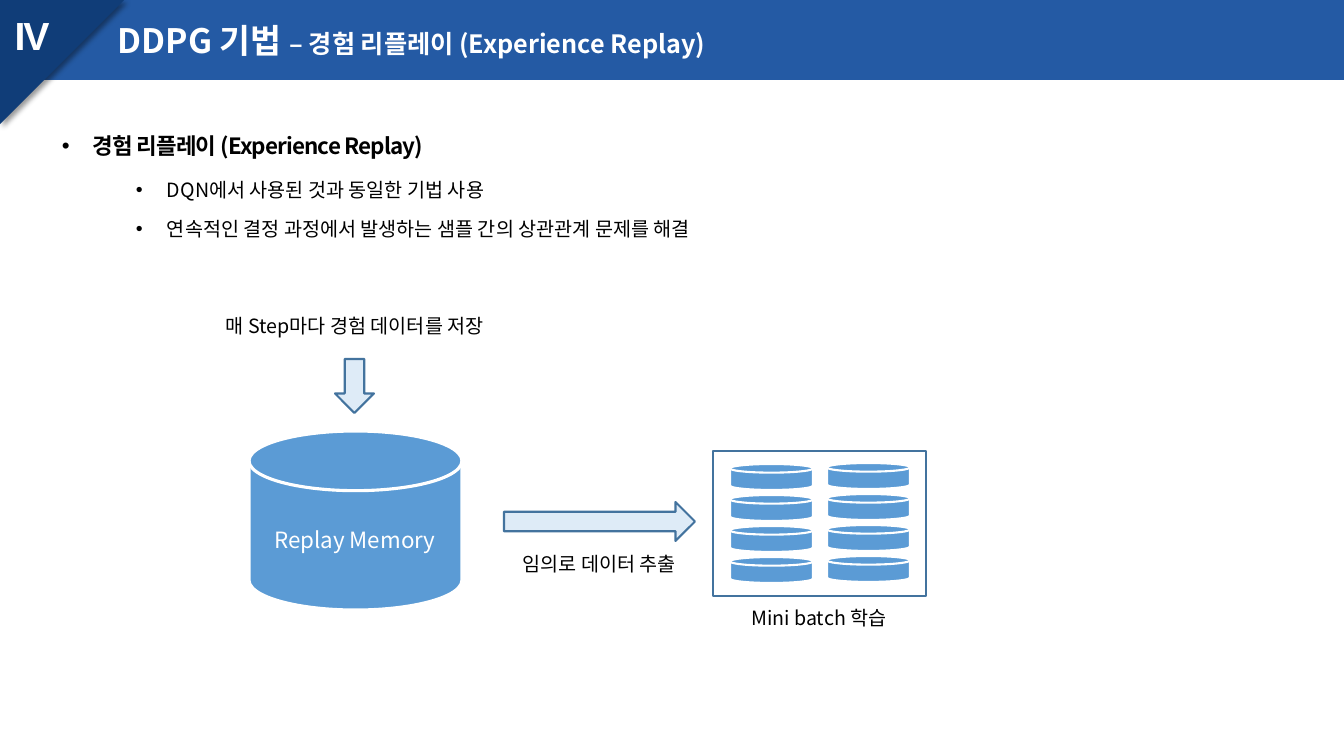
from lxml.etree import SubElement
from pptx import Presentation
from pptx.dml.color import RGBColor
from pptx.enum.shapes import MSO_SHAPE as Preset
from pptx.enum.text import MSO_AUTO_SIZE as AutoSize, PP_ALIGN as Align
from pptx.oxml.ns import qn
from pptx.util import Pt

PX = 12700 * 72 / 100.8
KOREAN = "Noto Sans CJK KR"
BLACK, WHITE = "000000", "FFFFFF"
BAR_BLUE, CORNER_BLUE = "245AA4", "103D78"
DISK_BLUE, PALE_BLUE, EDGE_BLUE = "5B9BD5", "DEEBF7", "43739E"


def px(length):
    return round(length * PX)


def color(hex_text):
    return RGBColor.from_string(hex_text)


def paint(shape, fill=None, line=None, width=1):
    shape.shadow.inherit = False
    if fill:
        shape.fill.solid()
        shape.fill.fore_color.rgb = color(fill)
    else:
        shape.fill.background()
    if line:
        shape.line.color.rgb = color(line)
        shape.line.width = Pt(width)
    else:
        shape.line.fill.background()


def add_preset(page, preset, area, fill=None, line=None, width=1, turn=0):
    shape = page.shapes.add_shape(preset, *map(px, area))
    paint(shape, fill, line, width)
    shape.rotation = turn
    return shape


def add_corner(page, side):
    """Folded triangle in the top left corner, with a soft shadow."""
    builder = page.shapes.build_freeform(0, 0, scale=PX)
    builder.add_line_segments([(side, 0), (0, side)], close=True)
    corner = builder.convert_to_shape()
    paint(corner, CORNER_BLUE)
    effects = corner._element.spPr.find(qn("a:effectLst"))
    shadow = SubElement(effects, qn("a:outerShdw"), blurRad=str(Pt(4)),
                        dist=str(Pt(3)), dir=str(45 * 60000),
                        algn="ctr", rotWithShape="0")
    tint = SubElement(shadow, qn("a:srgbClr"), val=BLACK)
    SubElement(tint, qn("a:alpha"), val="40000")


def add_span(para, text, size, ink=BLACK, bold=False, font=KOREAN, spacing=0):
    span = para.add_run()
    span.text = text
    span.font.size = Pt(size)
    span.font.bold = bold
    span.font.name = font
    span.font.color.rgb = color(ink)
    props = span.font._element
    SubElement(props, qn("a:ea"), typeface=font)
    if spacing:
        props.set("spc", str(round(spacing * 100)))


def add_label(page, area, align=Align.CENTER):
    """Unwrapped text box; returns its paragraph."""
    box = page.shapes.add_textbox(*map(px, area))
    box.text_frame.word_wrap = False
    box.text_frame.auto_size = AutoSize.SHAPE_TO_FIT_TEXT
    para = box.text_frame.paragraphs[0]
    para.alignment = align
    return para


def add_bullet(para, margin, before, after=0):
    para.line_spacing = 1.5
    para.space_before = Pt(before)
    para.space_after = Pt(after)
    props = para._p.get_or_add_pPr()
    props.set("marL", str(px(margin)))
    props.set("indent", str(px(-31)))
    SubElement(props, qn("a:buFont"), typeface="Arial")
    SubElement(props, qn("a:buChar"), char="•")


def add_header(page):
    add_preset(page, Preset.RECTANGLE, (0, 0, 1344, 80), BAR_BLUE)
    add_corner(page, 124)
    title = add_label(page, (108, 15, 639, 50), Align.LEFT)
    add_span(title, "DDPG 기법 ", 24, WHITE, True)
    add_span(title, "– 경험 리플레이 (Experience Replay)", 18, WHITE, True)
    # Wide enough to keep the numeral on one line
    chapter = add_label(page, (0, 6, 64, 57))
    add_span(chapter, "IV", 28, WHITE, True, "Arial", -1.5)


def add_body(page):
    box = page.shapes.add_textbox(*map(px, (61, 114, 1241, 586)))
    frame = box.text_frame
    frame.word_wrap = True
    frame.margin_left = frame.margin_right = 0
    heading = frame.paragraphs[0]
    add_bullet(heading, 32, 2, 2)
    add_span(heading, "경험 리플레이 (Experience Replay)", 16, bold=True, spacing=-0.6)
    for text in ("DQN에서 사용된 것과 동일한 기법 사용",
                 "연속적인 결정 과정에서 발생하는 샘플 간의 상관관계 문제를 해결"):
        para = frame.add_paragraph()
        para.level = 1
        add_bullet(para, 106, 2.8)
        add_span(para, text, 14)


def add_diagram(page):
    # Replay memory and the two flow arrows
    add_preset(page, Preset.FLOWCHART_MAGNETIC_DISK, (249, 431, 213, 179),
               DISK_BLUE, WHITE, 2.25)
    for area, turn in (((335, 359, 39, 54), 0), ((580, 426, 39, 191), 270)):
        add_preset(page, Preset.DOWN_ARROW, area, PALE_BLUE, EDGE_BLUE, 1.5, turn)

    # Mini batch: two columns of four small disks in a frame
    for left, top in ((730, 464), (827, 463)):
        for row in range(4):
            add_preset(page, Preset.FLOWCHART_MAGNETIC_DISK,
                       (left, top + 31 * row, 83, 26), DISK_BLUE, WHITE, 1.5)
    add_preset(page, Preset.RECTANGLE, (713, 451, 213, 145), line=EDGE_BLUE)

    # Labels
    for text, area, size, ink in (
            ("매 Step마다 경험 데이터를 저장", (203, 309, 304, 34), 14, BLACK),
            ("Replay Memory", (264, 521, 182, 37), 16, WHITE),
            ("임의로 데이터 추출", (503, 547, 193, 34), 14, BLACK),
            ("Mini batch 학습", (738, 601, 162, 34), 14, BLACK)):
        add_span(add_label(page, area), text, size, ink)


def main():
    deck = Presentation()
    deck.slide_width, deck.slide_height = px(1344), px(756)
    page = deck.slides.add_slide(deck.slide_layouts[6])
    add_header(page)
    add_body(page)
    add_diagram(page)
    deck.save("out.pptx")


if __name__ == "__main__":
    main()
